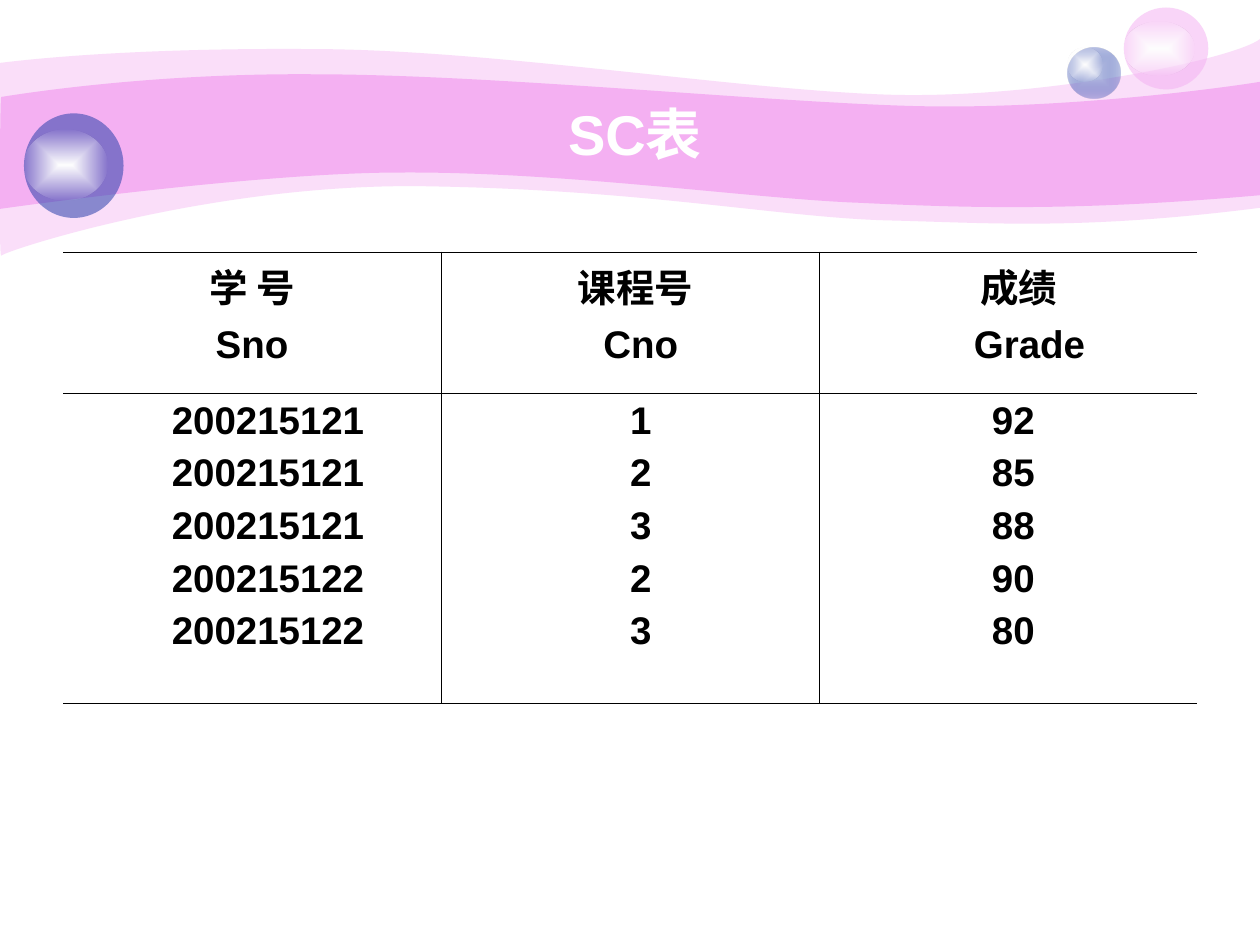
from typing import NamedTuple

from lxml.etree import SubElement
from pptx import Presentation
from pptx.dml.color import RGBColor
from pptx.enum.shapes import MSO_SHAPE
from pptx.enum.text import MSO_ANCHOR, PP_ALIGN
from pptx.oxml.ns import qn
from pptx.util import Inches, Pt

WHITE = RGBColor(0xFF, 0xFF, 0xFF)
BLACK = RGBColor(0, 0, 0)
PINK = RGBColor(0xF4, 0xB0, 0xF2)
BLUE = RGBColor(0x23, 0x3D, 0xA9)
PALE_BLUE = RGBColor(0xC7, 0xCE, 0xE9)
FONT = "Arial"
SPACE = 0.085  # one space of the table text, in inches


class Stop(NamedTuple):
    color: RGBColor
    alpha: int = 100


class Disc(NamedTuple):
    box: tuple
    stops: list  # one stop is a solid fill, two are a gradient


class Wave(NamedTuple):
    start: tuple
    top: list  # points of cubic curves, left to right, three per curve
    right: tuple  # where the right edge ends
    bottom: list  # points of cubic curves, right to left
    stop: Stop


class Column(NamedTuple):
    head: list
    head_shift: list  # shift of each header line, in spaces
    values: list
    shift: int


GLOSS = [Stop(WHITE), Stop(WHITE, 0)]
WAVES = [
    Wave((0, 0.5),
         [(0.24, 0.47), (1.07, 0.38), (2.47, 0.39), (3.86, 0.39), (5.75, 0.7), (6.99, 0.75),
          (8.22, 0.8), (9.8, 0.47), (10, 0.31)], (10, 1.65),
         [(8.58, 1.83), (7.87, 1.77), (7.05, 1.75), (6.22, 1.73), (5.15, 1.51), (3.43, 1.48),
          (1.72, 1.44), (0.04, 1.99), (0.01, 2.03), (-0.01, 2.08), (0, 0.75), (0, 0.5)],
         Stop(PINK, 41)),
    Wave((0.01, 0.77),
         [(0.02, 0.77), (1.1, 0.58), (2.48, 0.59), (3.86, 0.59), (5.95, 0.8), (7.18, 0.84),
          (8.41, 0.88), (9.76, 0.69), (10, 0.65)], (10, 1.55),
         [(8.53, 1.68), (7.65, 1.65), (6.82, 1.61), (5.99, 1.58), (4.47, 1.36), (3.17, 1.37),
          (2.03, 1.37), (-0.02, 1.66), (-0.01, 1.66), (0, 1.66), (0, 0.77), (0.01, 0.77)],
         Stop(PINK)),
]
BUBBLES = [
    [Disc((8.47, 0.38, 0.42, 0.4), [Stop(PALE_BLUE), Stop(BLUE, 31)]),
     Disc((8.47, 0.38, 0.28, 0.27), GLOSS)],
    [Disc((8.92, 0.06, 0.67, 0.65), [Stop(PINK, 53)]),
     Disc((8.92, 0.17, 0.56, 0.43), GLOSS)],
    [Disc((0.19, 0.9, 0.79, 0.83), [Stop(BLUE, 53)]),
     Disc((0.19, 1.03, 0.66, 0.56), GLOSS)],
]
COLUMNS = [
    Column(["学 号", "Sno"], [0, 0],
           ["200215121"] * 3 + ["200215122"] * 2, 3),
    Column(["课程号", "Cno"], [1, 2], ["1", "2", "3", "2", "3"], 2),
    Column(["成绩", "Grade"], [2, 4], ["92", "85", "88", "90", "80"], 1),
]


def add_color(parent, stop: Stop) -> None:
    clr = SubElement(parent, qn("a:srgbClr"), val=str(stop.color))
    if stop.alpha < 100:
        SubElement(clr, qn("a:alpha"), val=str(stop.alpha * 1000))


def paint(sp, stops: list) -> None:
    """Fill a shape with a solid colour or a rectangular gradient, no line."""
    sp.shadow.inherit = False
    sp.line.fill.background()
    sp.fill.background()
    old = sp._element.spPr.find(qn("a:noFill"))
    if len(stops) == 1:
        fill = old.makeelement(qn("a:solidFill"))
        add_color(fill, stops[0])
    else:
        fill = old.makeelement(qn("a:gradFill"), rotWithShape="1")
        gs_lst = SubElement(fill, qn("a:gsLst"))
        for pos, stop in zip(("0", "100000"), stops):
            add_color(SubElement(gs_lst, qn("a:gs"), pos=pos), stop)
        centre = SubElement(fill, qn("a:path"), path="rect")
        SubElement(centre, qn("a:fillToRect"), l="50000", t="50000", r="50000", b="50000")
    old.getparent().replace(old, fill)


def bend(segments: list) -> None:
    """Join each three line segments into one cubic curve."""
    for i in range(0, len(segments), 3):
        curve = segments[i].makeelement(qn("a:cubicBezTo"))
        segments[i].addprevious(curve)
        for seg in segments[i:i + 3]:
            curve.append(seg[0])
            seg.getparent().remove(seg)


def draw_wave(s, wave: Wave) -> None:
    start, *pts = [(Inches(x), Inches(y))
                   for x, y in [wave.start, *wave.top, wave.right, *wave.bottom]]
    builder = s.shapes.build_freeform(*start)
    builder.add_line_segments(pts, close=True)
    sp = builder.convert_to_shape()
    segments = list(sp._element.iter(qn("a:lnTo")))
    edge = len(wave.top)
    bend(segments[:edge])
    bend(segments[edge + 1:edge + 1 + len(wave.bottom)])
    paint(sp, [wave.stop])


def draw_bubble(s, discs: list) -> None:
    grp = s.shapes.add_group_shape()
    for disc in discs:
        sp = grp.shapes.add_shape(MSO_SHAPE.OVAL, *map(Inches, disc.box))
        paint(sp, disc.stops)


def add_text(p, text: str, size: int, color: RGBColor) -> None:
    p.alignment = PP_ALIGN.CENTER
    r = p.add_run()
    r.text = text
    r.font.size, r.font.bold, r.font.name = Pt(size), True, FONT
    r.font.color.rgb = color


def set_borders(cell, sides: str) -> None:
    tc_pr = cell._tc.get_or_add_tcPr()
    for side in "LRTB":
        ln = SubElement(tc_pr, qn("a:ln" + side), w=str(Pt(0.45)))
        if side in sides:
            add_color(SubElement(ln, qn("a:solidFill")), Stop(BLACK))
        else:
            SubElement(ln, qn("a:noFill"))


def fill_cell(cell, lines: list, shifts: list) -> None:
    tf = cell.text_frame
    for i, (text, shift) in enumerate(zip(lines, shifts)):
        p = tf.add_paragraph() if i else tf.paragraphs[0]
        if i:
            p.space_before = Pt(5.5)
        if shift:
            p._p.get_or_add_pPr().set("marL", str(Inches(shift * SPACE)))
        add_text(p, text, 22, BLACK)


def draw_table(s, columns: list) -> None:
    tbl = s.shapes.add_table(2, len(columns), Inches(0.5), Inches(2),
                             Inches(9), Inches(3.58)).table
    tbl.first_row = tbl.horz_banding = False
    for row, height in zip(tbl.rows, (1.12, 2.46)):
        row.height = Inches(height)
    for c, col in enumerate(columns):
        sides = "TB" + ("L" if c else "") + ("R" if c < len(columns) - 1 else "")
        fill_cell(tbl.cell(0, c), col.head, col.head_shift)
        fill_cell(tbl.cell(1, c), col.values, [col.shift] * len(col.values))
        for r in range(2):
            set_borders(tbl.cell(r, c), sides)
            tbl.cell(r, c).fill.background()


def main() -> None:
    prs = Presentation()
    prs.slide_width, prs.slide_height = Inches(10), Inches(7.5)
    s = prs.slides.add_slide(prs.slide_layouts[5])

    # Banner waves and glossy bubbles
    for wave in WAVES:
        draw_wave(s, wave)
    for discs in BUBBLES:
        draw_bubble(s, discs)

    # Title, raised above the banner
    title = s.shapes.title
    title.left, title.top, title.width, title.height = map(Inches, (1, 0.75, 8.08, 0.62))
    title.text_frame.vertical_anchor = MSO_ANCHOR.MIDDLE
    add_text(title.text_frame.paragraphs[0], "SC表", 32, WHITE)
    s.shapes._spTree.append(title._element)

    # Grades table
    draw_table(s, COLUMNS)
    prs.save("out.pptx")


if __name__ == "__main__":
    main()
